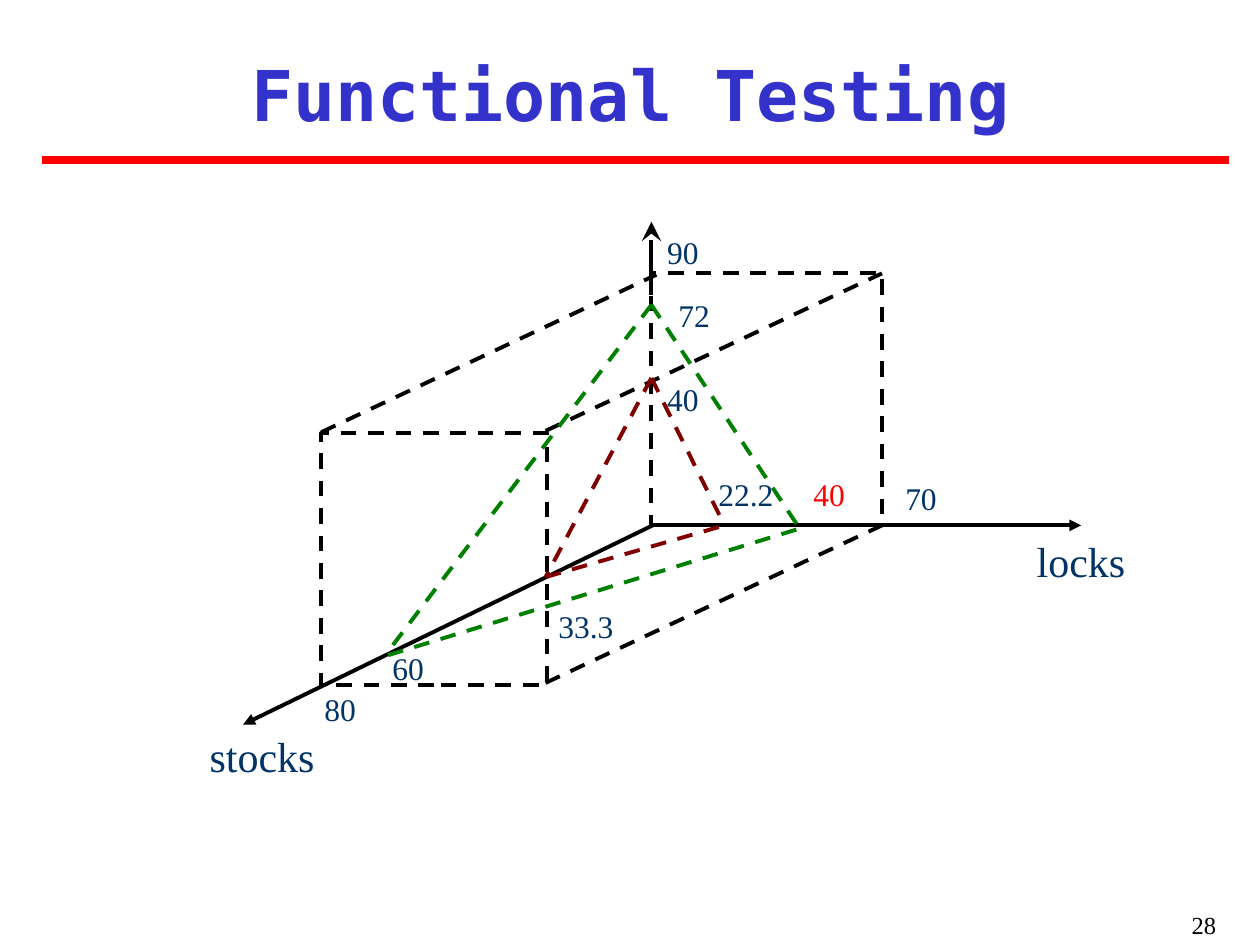
"""Build the Functional Testing slide with its 3D region over locks and stocks."""
from typing import NamedTuple

from lxml.etree import SubElement
from pptx import Presentation
from pptx.dml.color import RGBColor
from pptx.enum.dml import MSO_LINE
from pptx.enum.shapes import MSO_CONNECTOR, MSO_SHAPE
from pptx.enum.text import MSO_ANCHOR, PP_ALIGN
from pptx.oxml.ns import qn
from pptx.util import Inches, Pt

COLORS = {
    "black": "000000",
    "red": "FF0000",
    "title": "3333CC",
    "label": "003366",
    "inner": "800000",
    "outer": "008000",
}
SERIF = "Times New Roman"
MONO = "DejaVu Sans Mono"


class Line(NamedTuple):
    start: tuple[float, float]
    end: tuple[float, float]
    color: str = "black"
    dashed: bool = True
    width: float = 2.25
    head: str = ""
    tail: str = ""
    arrow_size: str = "med"


class Label(NamedTuple):
    text: str
    left: float
    top: float
    width: float = 0.5
    height: float = 0.3
    size: int = 18
    color: str = "label"
    align: PP_ALIGN = PP_ALIGN.CENTER
    anchor: MSO_ANCHOR = MSO_ANCHOR.MIDDLE
    margins: tuple[float, float] = (0, 0)


TITLE_RULE = Line((0.33, 1.27), (9.75, 1.27), "red", False, 4.5)
BOX_FACES = [(2.55, 3.44, 1.79, 2), (5.17, 2.17, 1.83, 2)]
LINES = [
    Line((5.17, 4.17), (8.58, 4.17), dashed=False, tail="triangle"),
    Line((5.18, 4.17), (1.93, 5.75), dashed=False, tail="triangle"),
    Line((4.33, 5.42), (7, 4.17)),
    Line((4.33, 3.42), (7, 2.17)),
    Line((2.55, 3.43), (5.21, 2.18)),
    Line((5.17, 3), (4.33, 4.58), "inner"),
    Line((5.17, 3), (5.75, 4.17), "inner"),
    Line((4.33, 4.58), (5.75, 4.17), "inner"),
    Line((5.17, 2.42), (3.08, 5.17), "outer"),
    Line((5.17, 2.42), (6.33, 4.17), "outer"),
    Line((3.08, 5.2), (6.33, 4.2), "outer"),
    Line((5.17, 1.76), (5.17, 2.34), dashed=False, head="stealth", arrow_size="lg"),
]
LABELS = [
    Label("60", 3.07, 5.15, 0.34),
    Label("33.3", 4.4, 4.82),
    Label("22.2", 5.67, 3.77),
    Label("40", 6.33, 3.77, color="red"),
    Label("70", 7.06, 3.8),
    Label("90", 5.17, 1.85),
    Label("80", 2.45, 5.48),
    Label("40", 5.17, 3.02),
    Label("72", 5.26, 2.35),
    Label("stocks", 1.63, 5.8, 0.9, 0.4, 24),
    Label("locks", 8.13, 4.25, 0.9, 0.4, 24),
    Label("28", 7.67, 7.17, 2.08, 0.33, 14, "black", PP_ALIGN.RIGHT, MSO_ANCHOR.TOP, (0.1, 0.05)),
]


def rgb(name: str) -> RGBColor:
    return RGBColor.from_string(COLORS[name])


def format_text(shape, text: str, size: int, font_name: str, color: str, bold: bool,
                align: PP_ALIGN, anchor: MSO_ANCHOR, margins: tuple[float, float]) -> None:
    frame = shape.text_frame
    frame.word_wrap = True
    frame.vertical_anchor = anchor
    frame.margin_left = frame.margin_right = Inches(margins[0])
    frame.margin_top = frame.margin_bottom = Inches(margins[1])
    frame.text = text
    paragraph = frame.paragraphs[0]
    paragraph.alignment = align
    paragraph.space_before = Pt(0)
    font = paragraph.font
    font.name, font.size, font.bold = font_name, Pt(size), bold
    font.color.rgb = rgb(color)


def add_title(slide, text: str) -> None:
    title = slide.shapes.title
    title.left, title.top = Inches(0.25), Inches(0.33)
    title.width, title.height = Inches(9.5), Inches(0.83)
    format_text(title, text, 40, MONO, "title", True,
                PP_ALIGN.CENTER, MSO_ANCHOR.MIDDLE, (0.02, 0.05))


def add_face(slide, bounds: tuple[float, float, float, float]) -> None:
    face = slide.shapes.add_shape(MSO_SHAPE.RECTANGLE, *map(Inches, bounds))
    face.shadow.inherit = False
    face.fill.background()
    face.line.color.rgb = rgb("black")
    face.line.width = Pt(2.25)
    face.line.dash_style = MSO_LINE.DASH


def add_line(slide, line: Line) -> None:
    connector = slide.shapes.add_connector(
        MSO_CONNECTOR.STRAIGHT, *map(Inches, line.start + line.end))
    connector.line.color.rgb = rgb(line.color)
    connector.line.width = Pt(line.width)
    if line.dashed:
        connector.line.dash_style = MSO_LINE.DASH
    outline = connector.line._get_or_add_ln()
    for tag, arrow in (("a:headEnd", line.head), ("a:tailEnd", line.tail)):
        if arrow:
            SubElement(outline, qn(tag), type=arrow, w=line.arrow_size, len=line.arrow_size)
    SubElement(connector._element.spPr, qn("a:effectLst"))


def add_label(slide, label: Label) -> None:
    box = slide.shapes.add_textbox(
        *map(Inches, (label.left, label.top, label.width, label.height)))
    format_text(box, label.text, label.size, SERIF, label.color, False,
                label.align, label.anchor, label.margins)


def main() -> None:
    presentation = Presentation()
    presentation.slide_width, presentation.slide_height = Inches(10), Inches(7.5)
    slide = presentation.slides.add_slide(presentation.slide_layouts[5])
    add_line(slide, TITLE_RULE)
    add_title(slide, "Functional Testing")
    for bounds in BOX_FACES:
        add_face(slide, bounds)
    for line in LINES:
        add_line(slide, line)
    for label in LABELS:
        add_label(slide, label)
    presentation.save("out.pptx")


if __name__ == "__main__":
    main()
